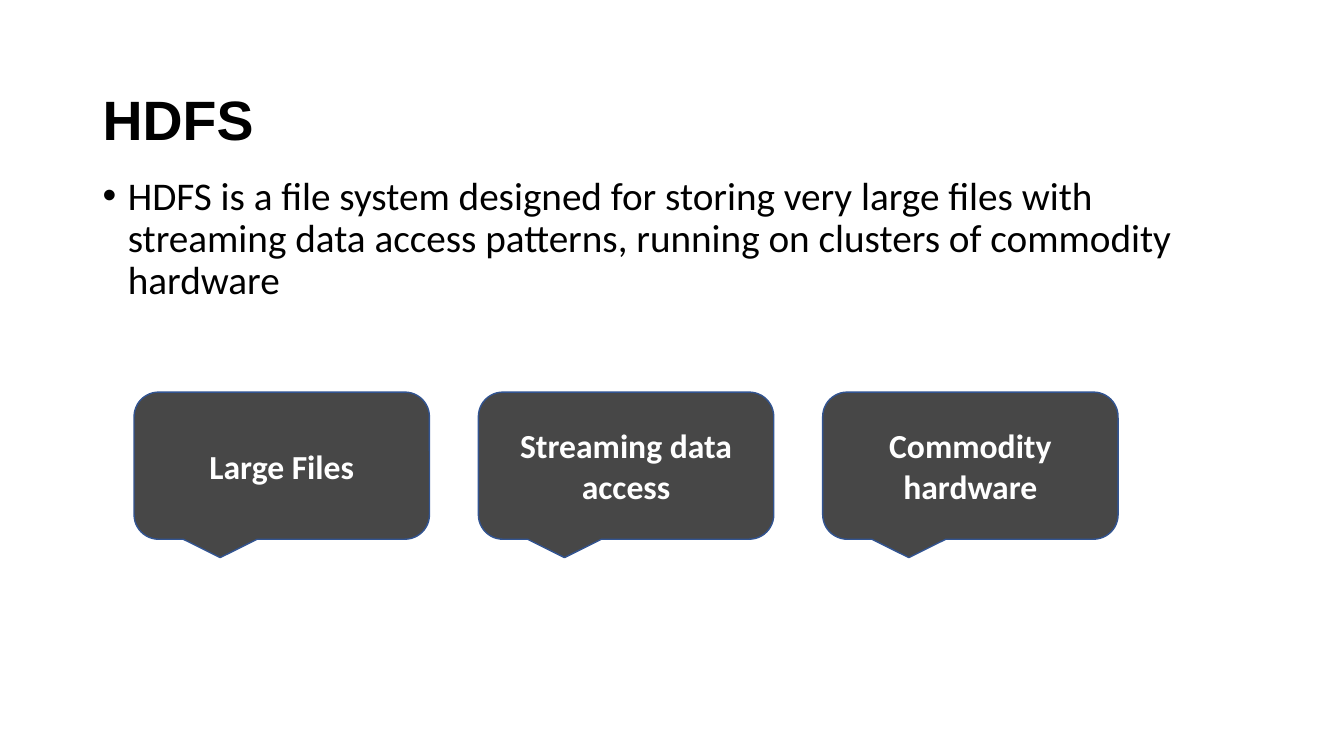
from lxml.etree import SubElement
from pptx import Presentation
from pptx.dml.color import RGBColor
from pptx.enum.shapes import MSO_SHAPE as Preset
from pptx.enum.text import MSO_ANCHOR as Anchor, PP_ALIGN as Align
from pptx.oxml.ns import qn
from pptx.util import Inches, Pt

BLACK = RGBColor(0x00, 0x00, 0x00)
WHITE = RGBColor(0xFF, 0xFF, 0xFF)
EDGE_BLUE = RGBColor(0x32, 0x54, 0x91)

TITLE_FONT = {"name": "Arial", "size": Pt(39.6), "bold": True}
SUMMARY_FONT = {"name": "Calibri", "size": Pt(28)}
FEATURE_FONT = {"name": "Calibri", "size": Pt(24), "bold": True}
FEATURES = ["Large Files", "Streaming data access", "Commodity hardware"]


def write(frame, wording, font, color, anchor, **paragraph_format):
    frame.word_wrap = True
    frame.vertical_anchor = anchor
    paragraph = frame.paragraphs[0]
    for key, value in paragraph_format.items():
        setattr(paragraph, key, value)
    run = paragraph.add_run()
    run.text = wording
    for key, value in font.items():
        setattr(run.font, key, value)
    run.font.color.rgb = color
    return paragraph


def add_title(slide, left, top, width, height):
    title = slide.shapes.add_textbox(*map(Inches, (left, top, width, height)))
    write(title.text_frame, "HDFS", TITLE_FONT, BLACK, Anchor.MIDDLE, line_spacing=0.9)


def add_summary(slide, left, top, width, height):
    summary = slide.shapes.add_textbox(*map(Inches, (left, top, width, height)))
    definition = write(
        summary.text_frame,
        "HDFS is a file system designed for storing very large files with "
        "streaming data access patterns, running on clusters of commodity hardware",
        SUMMARY_FONT, BLACK, Anchor.TOP, line_spacing=0.9, space_before=Pt(10),
    )
    properties = definition._p.get_or_add_pPr()
    properties.set("marL", str(Inches(0.25)))
    properties.set("indent", str(-Inches(0.25)))
    SubElement(properties, qn("a:buFont"), typeface="Arial")
    SubElement(properties, qn("a:buChar"), char="•")


def add_features(slide, left, top, width, height, callout_width=2.93):
    pitch = (width - callout_width) / (len(FEATURES) - 1)
    for column, feature in enumerate(FEATURES):
        callout = slide.shapes.add_shape(
            Preset.ROUNDED_RECTANGULAR_CALLOUT,
            *map(Inches, (left + column * pitch, top, callout_width, height)),
        )
        callout.shadow.inherit = False
        callout.fill.solid()
        callout.fill.fore_color.rgb = BLACK
        tint = callout.fill._xPr.find(".//" + qn("a:srgbClr"))
        SubElement(tint, qn("a:alpha"), val="72000")
        callout.line.color.rgb = EDGE_BLUE
        callout.line.width = Pt(1)
        write(callout.text_frame, feature, FEATURE_FONT, WHITE, Anchor.MIDDLE,
              alignment=Align.CENTER)


def main():
    deck = Presentation()
    deck.slide_width, deck.slide_height = Inches(13.33), Inches(7.5)
    slide = deck.slides.add_slide(deck.slide_layouts[6])
    add_title(slide, 0.92, 0.9, 11.5, 0.64)
    add_summary(slide, 0.92, 1.7, 11.5, 4.77)
    add_features(slide, 1.33, 3.89, 9.76, 1.46)
    deck.save("out.pptx")


if __name__ == "__main__":
    main()
